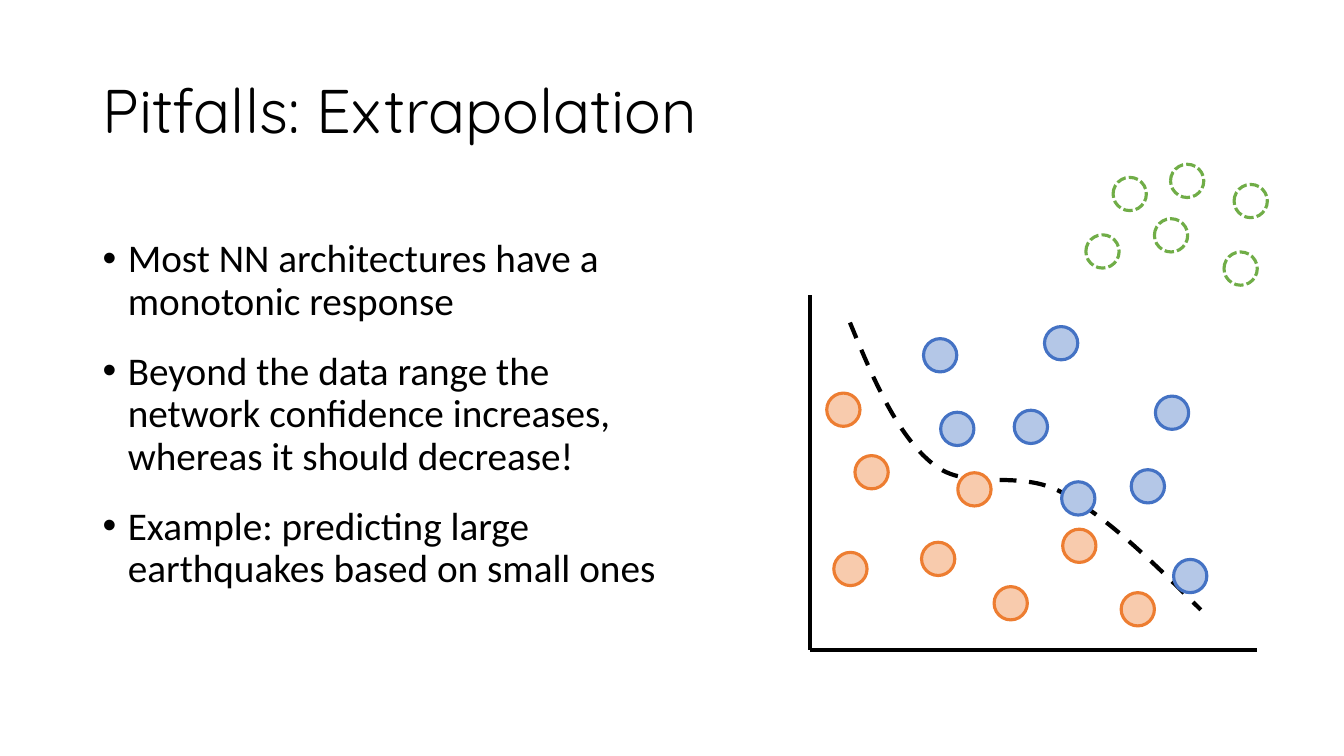
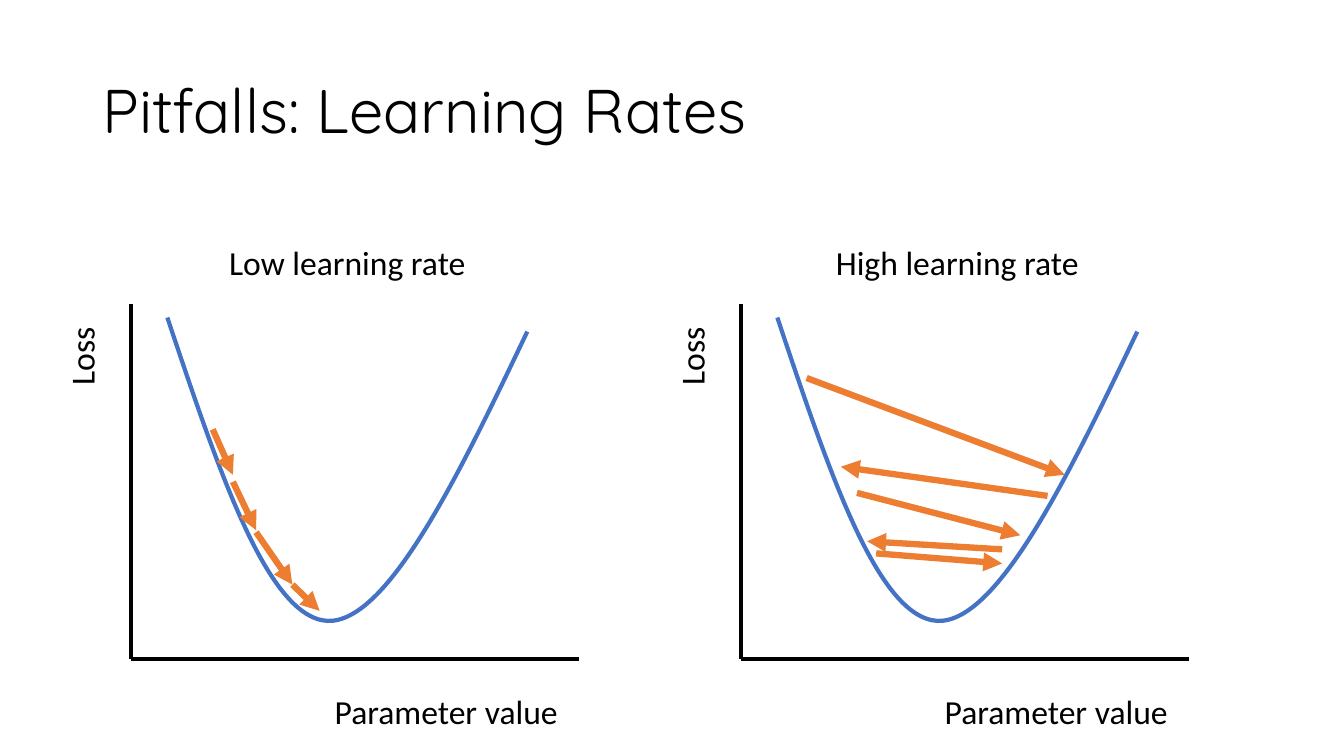
from dataclasses import dataclass
from typing import Any

from lxml.etree import SubElement
from pptx import Presentation
from pptx.dml.color import RGBColor
from pptx.enum.dml import MSO_LINE
from pptx.enum.shapes import MSO_CONNECTOR, MSO_SHAPE
from pptx.enum.text import MSO_ANCHOR, MSO_AUTO_SIZE, PP_ALIGN
from pptx.oxml.ns import qn
from pptx.slide import Slide
from pptx.util import Inches, Pt

Point = tuple[float, float]


# Theme
@dataclass(frozen=True)
class Theme:
    ink: str = "000000"
    blue: str = "4472C4"
    sky: str = "B4C7E7"
    orange: str = "ED7D31"
    peach: str = "F8CBAD"
    green: str = "70AD47"
    head: str = "Quicksand"
    body: str = "Calibri"
    title: int = 44
    text: int = 28
    label: int = 24
    stroke: float = 3
    arrow: float = 4.5
    ring: float = 2.25


THEME = Theme()


# Repeated elements
@dataclass(frozen=True)
class Group:
    edge: str
    fill: str | None
    dash: Any
    spots: list[Point]


@dataclass(frozen=True)
class Panel:
    title: str
    left: float
    steps: list[tuple[Point, Point]]


@dataclass(frozen=True)
class Label:
    text: str
    dx: float
    top: float
    width: float
    align: Any
    turn: int = 0


DOT = 0.33
RISE, RUN = 3.52, 4.44
BASE = 6.54
GROUPS = [
    Group(THEME.blue, THEME.sky, None,
          [(9.16, 3.36), (9.33, 4.09), (10.06, 4.07), (10.36, 3.24),
           (10.53, 4.78), (11.22, 4.66), (11.46, 3.93), (11.64, 5.55)]),
    Group(THEME.orange, THEME.peach, None,
          [(8.2, 3.9), (8.48, 4.52), (9.5, 4.69), (10.54, 5.25),
           (11.12, 5.88), (9.14, 5.38), (9.86, 5.82), (8.27, 5.48)]),
    Group(THEME.green, None, MSO_LINE.SQUARE_DOT,
          [(11.04, 1.76), (11.61, 1.63), (11.45, 2.17),
           (12.24, 1.83), (12.14, 2.5), (10.77, 2.33)]),
]
# Curves: an end point, then two handles and an end point per section
BOUND = [(8.43, 3.2), (8.66, 3.76), (8.9, 4.32), (9.25, 4.6), (9.6, 4.89),
         (10.1, 4.64), (10.54, 4.89), (10.98, 5.13), (11.45, 5.59),
         (11.91, 6.05)]
# Loss curve, with x counted from the panel's vertical axis
LOSS = [(0.36, 3.15), (0.86, 4.64), (1.35, 6.13), (1.95, 6.16),
        (2.54, 6.18), (3.24, 4.74), (3.93, 3.29)]
PANELS = [
    Panel("Low learning rate", 1.3,
          [((2.31, 4.78), (2.54, 5.26)), ((2.54, 5.28), (2.9, 5.8)),
           ((2.11, 4.26), (2.31, 4.71)), ((2.9, 5.8), (3.17, 6.06))]),
    Panel("High learning rate", 7.35,
          [((9.94, 5.45), (8.6, 5.37)), ((8.5, 4.89), (10.12, 5.31)),
           ((8, 3.75), (10.56, 4.71)), ((10.39, 4.92), (8.34, 4.63)),
           ((8.69, 5.49), (9.94, 5.59))]),
]
POINTS = [
    "Most NN architectures have a monotonic response",
    "Beyond the data range the network confidence increases, "
    "whereas it should decrease!",
    "Example: predicting large earthquakes based on small ones",
]


# Helpers
def assign(item: Any, vals: dict[str, Any]) -> None:
    for key, val in vals.items():
        setattr(item, key, val)


def place(item: Any, left: float, top: float, wide: float, high: float) -> None:
    assign(item, {"left": Inches(left), "top": Inches(top),
                  "width": Inches(wide), "height": Inches(high)})


def style(font: Any, name: str, size: int) -> None:
    assign(font, {"name": name, "size": Pt(size)})
    font.color.rgb = RGBColor.from_string(THEME.ink)


def stroke(line: Any, color: str, width: float, dash: Any = None) -> None:
    line.color.rgb = RGBColor.from_string(color)
    assign(line, {"width": Pt(width), "dash_style": dash})


def link(slide: Slide, start: Point, end: Point, color: str, width: float,
         head: bool = False) -> None:
    ends = [Inches(val) for val in (*start, *end)]
    line = slide.shapes.add_connector(MSO_CONNECTOR.STRAIGHT, *ends)
    stroke(line.line, color, width)
    props = line.element.spPr
    if head:
        SubElement(props.find(qn("a:ln")), qn("a:tailEnd"), type="triangle")
    SubElement(props, qn("a:effectLst"))


def axes(slide: Slide, left: float, base: float) -> None:
    root = (left, base)
    link(slide, (left, base - RISE), root, THEME.ink, THEME.stroke)
    link(slide, root, (left + RUN, base), THEME.ink, THEME.stroke)


def curve(slide: Slide, knots: list[Point], color: str,
          dash: Any = None) -> None:
    spots = [(Inches(x), Inches(y)) for x, y in knots]
    pen = slide.shapes.build_freeform(*spots[0])
    pen.add_line_segments(spots[3::3], close=False)
    shape = pen.convert_to_shape()
    shape.fill.background()
    shape.shadow.inherit = False
    stroke(shape.line, color, THEME.stroke, dash)
    # Bend each straight section into a cubic one
    for pos, part in enumerate(list(shape.element.iter(qn("a:lnTo")))):
        route = part.getparent()
        route.remove(part)
        bend = SubElement(route, qn("a:cubicBezTo"))
        for x, y in spots[3 * pos + 1:3 * pos + 4]:
            SubElement(bend, qn("a:pt"), x=str(x - shape.left),
                       y=str(y - shape.top))


def dots(slide: Slide, group: Group) -> None:
    for left, top in group.spots:
        dot = slide.shapes.add_shape(MSO_SHAPE.OVAL, Inches(left), Inches(top),
                                     Inches(DOT), Inches(DOT))
        dot.shadow.inherit = False
        if group.fill:
            dot.fill.solid()
            dot.fill.fore_color.rgb = RGBColor.from_string(group.fill)
        else:
            dot.fill.background()
        stroke(dot.line, group.edge, THEME.ring, group.dash)


def label(slide: Slide, left: float, item: Label) -> None:
    box = slide.shapes.add_textbox(Inches(left + item.dx), Inches(item.top),
                                   Inches(item.width), Inches(0.5))
    box.rotation = item.turn
    assign(box.text_frame, {"word_wrap": True,
                            "auto_size": MSO_AUTO_SIZE.SHAPE_TO_FIT_TEXT})
    para = box.text_frame.paragraphs[0]
    para.alignment = item.align
    run = para.add_run()
    run.text = item.text
    style(run.font, THEME.body, THEME.label)


def bullets(slide: Slide, lines: list[str]) -> None:
    box = slide.shapes.add_textbox(Inches(0.92), Inches(2.32),
                                   Inches(5.85), Inches(4.34))
    frame = box.text_frame
    frame.word_wrap = True
    for pos, text in enumerate(lines):
        para = frame.add_paragraph() if pos else frame.paragraphs[0]
        assign(para, {"line_spacing": 0.9, "space_before": Pt(10),
                      "space_after": Pt(10)})
        run = para.add_run()
        run.text = text
        style(run.font, THEME.body, THEME.text)
        props = para._p.get_or_add_pPr()
        props.set("marL", str(Inches(0.25)))
        props.set("indent", str(-Inches(0.25)))
        SubElement(props, qn("a:buFont"), typeface="Arial")
        SubElement(props, qn("a:buChar"), char="•")


def start(deck: Any, text: str) -> Slide:
    slide = deck.slides.add_slide(deck.slide_layouts.get_by_name("Title Only"))
    title = slide.shapes.title
    place(title, 0.92, 0.4, 11.5, 1.45)
    frame = title.text_frame
    assign(frame, {"auto_size": MSO_AUTO_SIZE.NONE, "word_wrap": True,
                   "vertical_anchor": MSO_ANCHOR.MIDDLE})
    para = frame.paragraphs[0]
    assign(para, {"alignment": PP_ALIGN.LEFT, "line_spacing": 0.9})
    run = para.add_run()
    run.text = text
    style(run.font, THEME.head, THEME.title)
    return slide


# Slides
def extra(deck: Any) -> None:
    slide = start(deck, "Pitfalls: Extrapolation")
    bullets(slide, POINTS)
    axes(slide, 8.03, 6.45)
    curve(slide, BOUND, THEME.ink, MSO_LINE.DASH)
    for group in GROUPS:
        dots(slide, group)


def rates(deck: Any) -> None:
    slide = start(deck, "Pitfalls: Learning Rates")
    for panel in PANELS:
        left = panel.left
        axes(slide, left, BASE)
        curve(slide, [(left + x, y) for x, y in LOSS], THEME.blue)
        for item in (
            Label("Parameter value", 1.6, 6.81, 2.73, PP_ALIGN.RIGHT),
            Label("Loss", -1.61, 4.01, 2.23, PP_ALIGN.RIGHT, 270),
            Label(panel.title, 0.78, 2.35, 2.73, PP_ALIGN.CENTER),
        ):
            label(slide, left, item)
        for tail, tip in panel.steps:
            link(slide, tail, tip, THEME.orange, THEME.arrow, head=True)


def main() -> None:
    deck = Presentation()
    assign(deck, {"slide_width": Inches(13.33), "slide_height": Inches(7.5)})
    extra(deck)
    rates(deck)
    deck.save("out.pptx")


if __name__ == "__main__":
    main()
